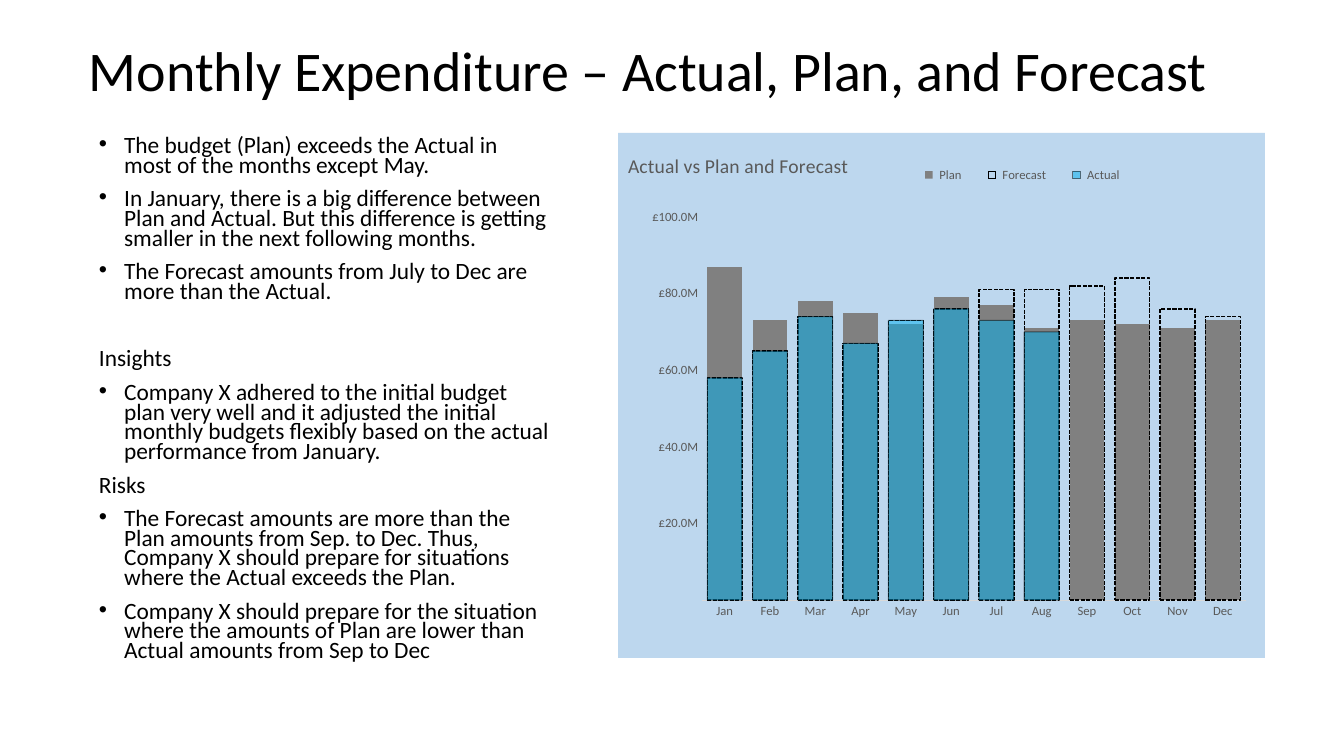
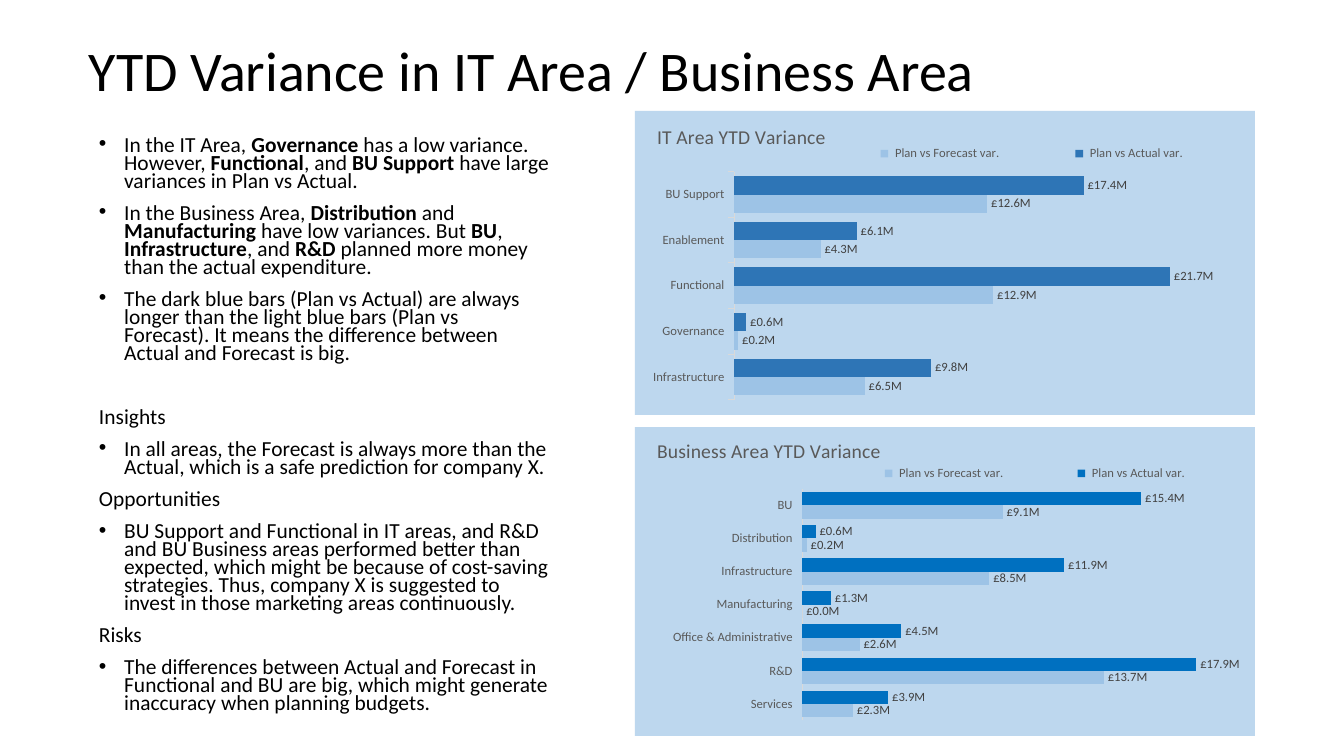
"""Build two slides on monthly expenditure and year-to-date variance."""
from lxml import etree
from pptx import Presentation
from pptx.chart.data import CategoryChartData
from pptx.dml.color import RGBColor
from pptx.enum.chart import (XL_CHART_TYPE, XL_LABEL_POSITION, XL_LEGEND_POSITION,
                             XL_TICK_LABEL_POSITION, XL_TICK_MARK)
from pptx.enum.dml import MSO_LINE
from pptx.enum.text import MSO_ANCHOR
from pptx.oxml import parse_xml
from pptx.oxml.ns import nsdecls, qn
from pptx.util import Pt

PX = 914400 / 100.8
FONT = "Calibri"
MILLION = 1_000_000
MONEY = '"£"0.0,,"M";\\("£"0.0,,"M"\\);'
LABEL_MONEY = '"£"0.0,,"M"'
BLACK = RGBColor(0x00, 0x00, 0x00)
GREY = RGBColor(0x59, 0x59, 0x59)
LABEL_GREY = RGBColor(0x40, 0x40, 0x40)
AXIS_GREY = RGBColor(0xD9, 0xD9, 0xD9)
PLAN_GREY = RGBColor(0x80, 0x80, 0x80)
ACTUAL_BLUE = RGBColor(0x00, 0xB0, 0xF0)
IT_BLUE = RGBColor(0x2E, 0x75, 0xB6)
BUSINESS_BLUE = RGBColor(0x00, 0x70, 0xC0)
LIGHT_BLUE = RGBColor(0x9D, 0xC3, 0xE6)
PANEL_BLUE = RGBColor(0xBD, 0xD7, 0xEE)

TITLE_BOX = (79, 0, 1159, 146)
BODY_BOX = (89, 133, 470, 587)
HEADINGS = ("Insights", "Opportunities", "Risks")


def add_text(s, box, paragraphs, size, spacing, before=0, bullets=False, anchor=MSO_ANCHOR.TOP):
    """Add a text box; ** toggles bold, and the first heading starts a new section."""
    tf = s.shapes.add_textbox(*(round(v * PX) for v in box)).text_frame
    tf.word_wrap = True
    tf.vertical_anchor = anchor
    for i, text in enumerate(paragraphs):
        p = tf.paragraphs[0] if i == 0 else tf.add_paragraph()
        p.line_spacing = spacing
        p.space_before = Pt(before)
        if text == HEADINGS[0]:
            p.space_before = Pt(round(2 * before + 0.85 * size))
        if bullets and text not in HEADINGS:
            pPr = p._p.get_or_add_pPr()
            pPr.set("marL", "228600")
            pPr.set("indent", "-228600")
            etree.SubElement(pPr, qn("a:buFont")).set("typeface", "Arial")
            etree.SubElement(pPr, qn("a:buChar")).set("char", "•")
        for n, part in enumerate(text.split("**")):
            if part:
                r = p.add_run()
                r.text = part
                r.font.name = FONT
                r.font.size = Pt(size)
                r.font.bold = n % 2 == 1
                r.font.color.rgb = BLACK


def add_bars(s, kind, box, title, cats, series, layouts, top, gap, overlap):
    """Add a bar chart in a blue panel, with title, legend and plot placed by fractions."""
    data = CategoryChartData(number_format=MONEY)
    data.categories = cats
    for name, values, _ in series:
        data.add_series(name, [None if v is None else round(v * MILLION) for v in values])
    chart = s.shapes.add_chart(kind, *(round(v * PX) for v in box), data).chart
    chart.font.name = FONT
    chart.font.size = Pt(10)
    chart.has_title = True
    p = chart.chart_title.text_frame.paragraphs[0]
    r = p.add_run()
    r.text = title
    r.font.size = Pt(14)
    r.font.bold = False
    chart.has_legend = True
    chart.legend.position = XL_LEGEND_POSITION.TOP
    chart.legend.include_in_layout = False
    cat_axis, val_axis = chart.category_axis, chart.value_axis
    for font in (r.font, chart.legend.font, cat_axis.tick_labels.font, val_axis.tick_labels.font):
        font.name = FONT
        font.color.rgb = GREY
    for font in (chart.legend.font, cat_axis.tick_labels.font, val_axis.tick_labels.font):
        font.size = Pt(9)
    cat_axis.major_tick_mark = XL_TICK_MARK.NONE
    cat_axis.format.line.color.rgb = AXIS_GREY
    cat_axis.format.line.width = Pt(0.75)
    val_axis.minimum_scale = 0
    val_axis.maximum_scale = top * MILLION
    val_axis.major_unit = 20 * MILLION
    val_axis.has_major_gridlines = False
    val_axis.major_tick_mark = XL_TICK_MARK.NONE
    val_axis.format.line.fill.background()
    val_axis.tick_labels.number_format = MONEY
    val_axis.tick_labels.number_format_is_linked = False
    plot = chart.plots[0]
    plot.vary_by_categories = False
    plot.gap_width = gap
    plot.overlap = overlap
    for ser, (_, _, color) in zip(plot.series, series):
        ser.invert_if_negative = False
        if color is None:
            ser.format.fill.background()
        else:
            ser.format.fill.solid()
            ser.format.fill.fore_color.rgb = color
    space = chart._chartSpace
    for tag, place in zip(("c:title", "c:legend", "c:plotArea"), layouts):
        parent = space.find(".//" + qn(tag))
        for old in parent.findall(qn("c:layout")):
            parent.remove(old)
        layout = etree.Element(qn("c:layout"))
        manual = etree.SubElement(layout, qn("c:manualLayout"))
        if tag == "c:plotArea":
            etree.SubElement(manual, qn("c:layoutTarget")).set("val", "inner")
        for mode in ("xMode", "yMode"):
            etree.SubElement(manual, qn("c:" + mode)).set("val", "edge")
        for key, value in zip("xywh", place):
            etree.SubElement(manual, qn("c:" + key)).set("val", str(value))
        parent.insert(0 if tag == "c:plotArea" else 1, layout)
    space.find(qn("c:chart")).addnext(parse_xml(
        f'<c:spPr {nsdecls("c", "a")}><a:solidFill><a:srgbClr val="{PANEL_BLUE}"/></a:solidFill>'
        '<a:ln><a:noFill/></a:ln></c:spPr>'))
    return chart


prs = Presentation()
prs.slide_width = round(1344 * PX)
prs.slide_height = round(756 * PX)

slides = []
for title, size, body in (
    ("Monthly Expenditure – Actual, Plan, and Forecast", 16.7, (
        "The budget (Plan) exceeds the Actual in most of the months except May.",
        "In January, there is a big difference between Plan and Actual. But this difference "
        "is getting smaller in the next following months.",
        "The Forecast amounts from July to Dec are more than the Actual.",
        "Insights",
        "Company X adhered to the initial budget plan very well and it adjusted the initial "
        "monthly budgets flexibly based on the actual performance from January.",
        "Risks",
        "The Forecast amounts are more than the Plan amounts from Sep. to Dec. Thus, "
        "Company X should prepare for situations where the Actual exceeds the Plan.",
        "Company X should prepare for the situation where the amounts of Plan are lower than "
        "Actual amounts from Sep to Dec")),
    ("YTD Variance in IT Area / Business Area", 15.3, (
        "In the IT Area, **Governance** has a low variance. However, **Functional**, and "
        "**BU Support **have large variances in Plan vs Actual.",
        "In the Business Area, **Distribution** and **Manufacturing** have low variances. But "
        "**BU**, **Infrastructure**, and **R&D** planned more money than the actual expenditure.",
        "The dark blue bars (Plan vs Actual) are always longer than the light blue bars "
        "(Plan vs Forecast). It means the difference between Actual and Forecast is big.",
        "Insights",
        "In all areas, the Forecast is always more than the Actual, which is a safe prediction "
        "for company X.",
        "Opportunities",
        "BU Support and Functional in IT areas, and R&D and BU Business areas performed better "
        "than expected, which might be because of cost-saving strategies. Thus, company X is "
        "suggested to invest in those marketing areas continuously.",
        "Risks",
        "The differences between Actual and Forecast in Functional and BU are big, which might "
        "generate inaccuracy when planning budgets.")),
):
    s = prs.slides.add_slide(prs.slide_layouts[6])
    add_text(s, TITLE_BOX, [title], size=40, spacing=0.9, anchor=MSO_ANCHOR.MIDDLE)
    add_text(s, BODY_BOX, body, size=size, spacing=0.7, before=10, bullets=True)
    slides.append(s)

monthly = add_bars(
    slides[0], XL_CHART_TYPE.COLUMN_CLUSTERED, (618, 133, 647, 525), "Actual vs Plan and Forecast",
    "Jan Feb Mar Apr May Jun Jul Aug Sep Oct Nov Dec".split(),
    ((" Plan", (87, 73, 78, 75, 72, 79, 77, 71, 73, 72, 71, 73), PLAN_GREY),
     (" Forecast", (58, 65, 74, 67, 73, 76, 81, 81, 82, 84, 76, 74), None),
     (" Actual", (58, 65, 74, 67, 73, 76, 73, 70) + (None,) * 4, ACTUAL_BLUE)),
    ((0.01, 0.03), (0.44, 0.06, 0.37, 0.04), (0.13, 0.16, 0.84, 0.73)),
    top=100, gap=30, overlap=100)
_, forecast, actual = monthly.plots[0].series
for ser, width in ((forecast, 1), (actual, 0.75)):
    ser.format.line.color.rgb = BLACK
    ser.format.line.width = Pt(width)
forecast.format.line.dash_style = MSO_LINE.SQUARE_DOT
for color in actual._element.find(qn("c:spPr")).iter(qn("a:srgbClr")):
    etree.SubElement(color, qn("a:alpha")).set("val", "50000")

for box, title, cats, to_actual, to_forecast, blue, layouts, top, tick in (
    ((635, 111, 620, 304), "IT Area YTD Variance",
     ("BU Support", "Enablement", "Functional", "Governance", "Infrastructure"),
     (17.4, 6.1, 21.7, 0.6, 9.8), (12.6, 4.3, 12.9, 0.2, 6.5), IT_BLUE,
     ((0.03, 0.03), (0.28, 0.1, 0.72, 0.08), (0.16, 0.2, 0.81, 0.75)),
     25, XL_TICK_MARK.OUTSIDE),
    ((635, 427, 620, 309), "Business Area YTD Variance",
     ("BU", "Distribution", "Infrastructure", "Manufacturing", "Office & Administrative",
      "R&D", "Services"),
     (15.4, 0.6, 11.9, 1.3, 4.5, 17.9, 3.9), (9.1, 0.2, 8.5, 0, 2.6, 13.7, 2.3), BUSINESS_BLUE,
     ((0.03, 0.02), (0.29, 0.11, 0.71, 0.08), (0.27, 0.2, 0.71, 0.75)),
     20, XL_TICK_MARK.NONE),
):
    chart = add_bars(
        slides[1], XL_CHART_TYPE.BAR_CLUSTERED, box, title, cats,
        ((" Plan vs Actual var.", to_actual, blue),
         (" Plan vs Forecast var.", to_forecast, LIGHT_BLUE)),
        layouts, top=top, gap=50, overlap=0)
    chart.value_axis.visible = False
    chart.category_axis.reverse_order = True
    chart.category_axis.major_tick_mark = tick
    chart.category_axis.tick_label_position = XL_TICK_LABEL_POSITION.LOW
    plot = chart.plots[0]
    plot.has_data_labels = True
    labels = plot.data_labels
    labels.show_value = True
    labels.position = XL_LABEL_POSITION.OUTSIDE_END
    labels.number_format = LABEL_MONEY
    labels.number_format_is_linked = False
    labels.font.name = FONT
    labels.font.size = Pt(9)
    labels.font.color.rgb = LABEL_GREY

prs.save("out.pptx")
